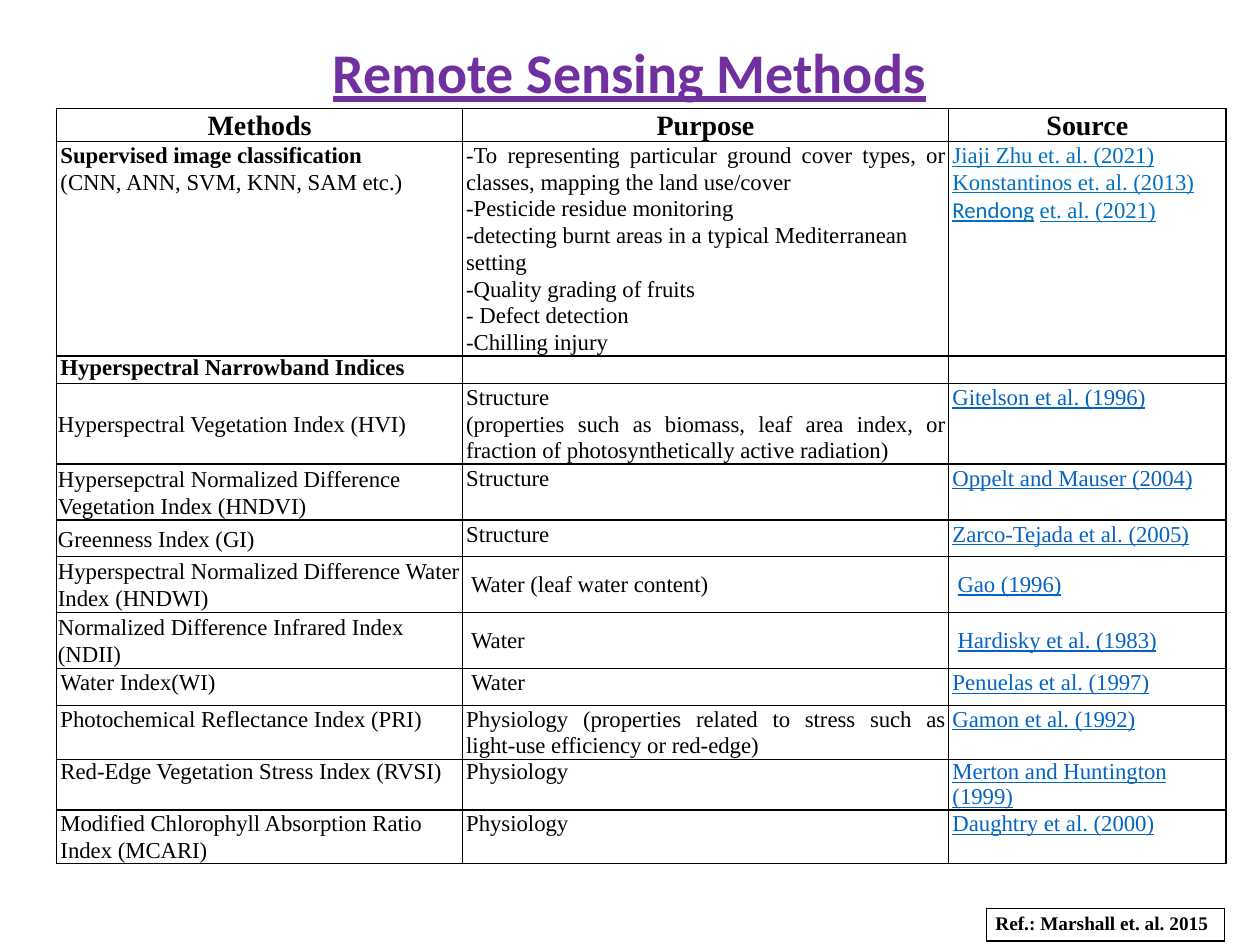
from lxml import etree
from pptx import Presentation
from pptx.dml.color import RGBColor
from pptx.enum.text import MSO_ANCHOR, MSO_AUTO_SIZE, PP_ALIGN
from pptx.oxml.ns import qn
from pptx.util import Inches, Pt

BLACK = RGBColor(0, 0, 0)
PURPLE = RGBColor(0x70, 0x30, 0xA0)
BLUE = RGBColor(0x00, 0x70, 0xC0)
LINK = RGBColor(0x05, 0x63, 0xC1)
SERIF, SANS = "Times New Roman", "Calibri"
LEFT, MID, JUST = PP_ALIGN.LEFT, PP_ALIGN.CENTER, PP_ALIGN.JUSTIFY

# kind: side inset, top inset, anchor, alignment, line spacing, space after
KINDS = {
    "head": (0.03, 0, MSO_ANCHOR.TOP, MID, 1.07, 0),
    "left": (0.03, 0, MSO_ANCHOR.TOP, LEFT, 1.07, 0),
    "just": (0.03, 0, MSO_ANCHOR.TOP, JUST, 1.07, 0),
    "tight": (0.03, 0, MSO_ANCHOR.TOP, LEFT, 1, 0),
    "index": (0.01, 0.01, MSO_ANCHOR.MIDDLE, LEFT, 1.07, 8),
    "wide": (0.07, 0.04, MSO_ANCHOR.MIDDLE, LEFT, 1, 0),
    "note": (0.07, 0.04, MSO_ANCHOR.TOP, LEFT, 1, 0),
}
COLS = (3.22, 3.86, 2.2)
# row height, kind of each cell, text of each cell (one line per paragraph)
ROWS = [
    (0.26, "head head head", ("Methods", "Purpose", "Source")),
    (1.7, "left left just", (
        "Supervised image classification\n(CNN, ANN, SVM, KNN, SAM etc.)",
        "-To representing particular ground cover types, or classes, "
        "mapping the land use/cover\n-Pesticide residue monitoring\n"
        "-detecting burnt areas in a typical Mediterranean setting\n"
        "-Quality grading of fruits\n- Defect detection\n-Chilling injury",
        "Jiaji Zhu et. al. (2021)\nKonstantinos et. al. (2013)\n"
        "Rendong et. al. (2021)")),
    (0.2, "tight tight tight", ("Hyperspectral Narrowband Indices", "", "")),
    (0.64, "index left just", (
        "Hyperspectral Vegetation Index (HVI)",
        "Structure\n(properties such as biomass, leaf area index, or fraction "
        "of photosynthetically active radiation)",
        "Gitelson et al. (1996)")),
    (0.44, "index left just", (
        "Hypersepctral Normalized Difference Vegetation Index (HNDVI)",
        "Structure", "Oppelt and Mauser (2004)")),
    (0.29, "index left just", (
        "Greenness Index (GI)", "Structure", "Zarco-Tejada et al. (2005)")),
    (0.44, "index wide wide", (
        "Hyperspectral Normalized Difference Water Index (HNDWI)",
        "Water (leaf water content)", "Gao (1996)")),
    (0.44, "index wide wide", (
        "Normalized Difference Infrared Index (NDII)",
        "Water", "Hardisky et al. (1983)")),
    (0.29, "left just just", (
        "Water Index(WI)", " Water", "Penuelas et al. (1997)")),
    (0.43, "left just left", (
        "Photochemical Reflectance Index (PRI)",
        "Physiology (properties related to stress such as light-use "
        "efficiency or red-edge)", "Gamon et al. (1992)")),
    (0.4, "tight tight tight", (
        "Red-Edge Vegetation Stress Index (RVSI)", "Physiology",
        "Merton and Huntington (1999)")),
    (0.42, "left just just", (
        "Modified Chlorophyll Absorption Ratio Index (MCARI)",
        "Physiology", "Daughtry et al. (2000)")),
]
NOTE = [(0.26, "note", ("Ref.: Marshall et. al. 2015",))]
BOLD = ("Supervised image classification", "Hyperspectral Narrowband Indices")
WRAPPED = {("-To representing", JUST), ("(properties", JUST)}
SPLIT = "Rendong"


def style(run, size, color, bold=False, line=False, face=SERIF):
    """Format one run."""
    font = run.font
    font.size, font.name, font.bold, font.underline = Pt(size), face, bold, line
    font.color.rgb = color


def border(cell):
    """Draw a thin black line on each side of a cell."""
    props = cell._tc.get_or_add_tcPr()
    for at, side in enumerate(("a:lnL", "a:lnR", "a:lnT", "a:lnB")):
        edge = etree.Element(qn(side), w=str(Pt(1)))
        fill = etree.SubElement(edge, qn("a:solidFill"))
        etree.SubElement(fill, qn("a:srgbClr"), val=str(BLACK))
        props.insert(at, edge)


def write(cell, kind, words, size, color, line):
    """Fill a cell with paragraphs in the style of its kind."""
    side, top, anchor, align, space, after = KINDS[kind]
    cell.margin_left = cell.margin_right = Inches(side)
    cell.margin_top = cell.margin_bottom = Inches(top)
    cell.vertical_anchor = anchor
    cell.fill.background()
    border(cell)
    cell.text_frame.text = words
    for para in cell.text_frame.paragraphs:
        para.alignment, para.line_spacing = align, space
        para.space_after = Pt(after)
        for start, way in WRAPPED:
            if para.text.startswith(start):
                para.alignment = way
        bold = kind in ("head", "note") or para.text in BOLD
        if para.text.startswith(SPLIT):
            rest = para.text[len(SPLIT) + 1:]
            para.runs[0].text = SPLIT
            for part in (" ", rest):
                para.add_run().text = part
        for run in para.runs:
            blank = run.text == " "
            style(run, size, BLACK if blank else color, bold, line and not blank,
                  SANS if run.text == SPLIT else SERIF)
        if not para.runs:
            etree.SubElement(para._p, qn("a:endParaRPr"), sz=str(size * 100))


def grid(slide, left, top, cols, rows, size):
    """Add a bordered table."""
    high = sum(row[0] for row in rows)
    table = slide.shapes.add_table(
        len(rows), len(cols), Inches(left), Inches(top),
        Inches(sum(cols)), Inches(high)).table
    table.first_row = table.horz_banding = False
    for col, wide in zip(table.columns, cols):
        col.width = Inches(wide)
    for y, (tall, kinds, texts) in enumerate(rows):
        table.rows[y].height = Inches(tall)
        for x, (kind, words) in enumerate(zip(kinds.split(), texts)):
            link = x == 2 and kind != "head"
            color = BLACK if not link else BLUE if y == 1 else LINK
            write(table.cell(y, x), kind, words,
                  16 if kind == "head" else size, color, link)


deck = Presentation()
deck.slide_width, deck.slide_height = Inches(10), Inches(7.5)
slide = deck.slides.add_slide(deck.slide_layouts[5])
title = slide.shapes.title
title.left, title.top = Inches(2.32), Inches(0.21)
title.width, title.height = Inches(5.35), Inches(0.65)
frame = title.text_frame
frame.text = "Remote Sensing Methods"
frame.auto_size, frame.vertical_anchor = MSO_AUTO_SIZE.NONE, MSO_ANCHOR.TOP
head = frame.paragraphs[0]
head.alignment, head.line_spacing, head.space_after = MID, 1.07, Pt(6)
style(head.runs[0], 32, PURPLE, True, True, SANS)

grid(slide, 0.45, 0.86, COLS, ROWS, 13)
grid(slide, 7.83, 7.21, (1.89,), NOTE, 11)
deck.save("out.pptx")
